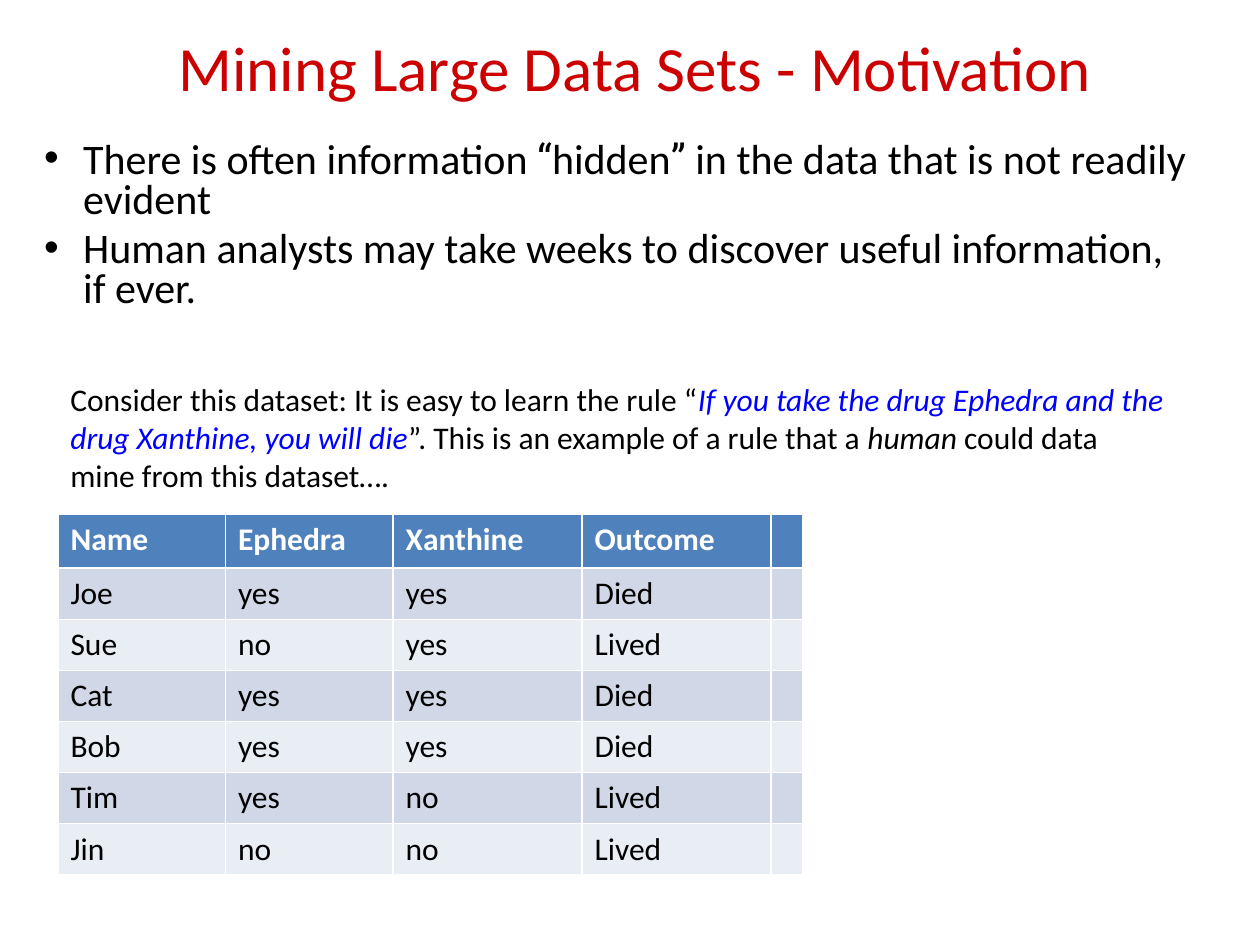
import pptx
import pptx.dml.color
import pptx.enum.text
import pptx.oxml.ns
import pptx.util
import lxml.etree
from pptx.util import Inches

COLORS = {
    "title": "CC0000", "text": "000000", "rule": "0000FF",
    "header_text": "FFFFFF", "header": "4F81BD",
    "odd_row": "D0D8E8", "even_row": "E9EDF4",
}


class MotivationSlide:
    font = "Calibri"
    quote_font = "Roboto"

    def __init__(self, presentation):
        self.slide = presentation.slides.add_slide(presentation.slide_layouts[1])

    def place(self, shape, left, top, width, height):
        shape.left, shape.top = Inches(left), Inches(top)
        shape.width, shape.height = Inches(width), Inches(height)

    def format(self, run, size, color="text", font=None, bold=False, italic=False):
        run.font.name = font or self.font
        run.font.size = pptx.util.Pt(size)
        run.font.bold = bold
        run.font.italic = italic
        run.font.color.rgb = pptx.dml.color.RGBColor.from_string(COLORS[color])

    def add_run(self, paragraph, text, size, **style):
        run = paragraph.add_run()
        run.text = text
        self.format(run, size, **style)

    def title(self, text, *box):
        heading = self.slide.shapes.title
        self.place(heading, *box)
        frame = heading.text_frame
        frame.text = text
        frame.margin_left = frame.margin_right = 0
        frame.vertical_anchor = pptx.enum.text.MSO_ANCHOR.MIDDLE
        frame.auto_size = pptx.enum.text.MSO_AUTO_SIZE.NONE
        frame.paragraphs[0].alignment = pptx.enum.text.PP_ALIGN.CENTER
        self.format(frame.paragraphs[0].runs[0], 36, "title")

    def bullets(self, points, *box):
        body = self.slide.placeholders[1]
        self.place(body, *box)
        frame = body.text_frame
        frame.auto_size = pptx.enum.text.MSO_AUTO_SIZE.NONE
        for index, parts in enumerate(points):
            paragraph = frame.add_paragraph() if index else frame.paragraphs[0]
            properties = paragraph._p.get_or_add_pPr()
            properties.set("marL", str(Inches(0.31)))
            properties.set("indent", str(Inches(-0.31)))
            bullet = lxml.etree.SubElement(properties, pptx.oxml.ns.qn("a:buChar"))
            bullet.set("char", "•")
            paragraph.line_spacing = 0.8
            paragraph.space_before = pptx.util.Pt(4.8 if index else 0)
            for part in parts:
                font = self.quote_font if part in "“”" else self.font
                self.add_run(paragraph, part, 24, font=font)

    def table(self, rows, column_widths, row_heights, left, top):
        frame = self.slide.shapes.add_table(
            len(rows), len(column_widths), Inches(left), Inches(top),
            Inches(sum(column_widths)), Inches(sum(row_heights)))
        grid = frame.table
        for column, width in zip(grid.columns, column_widths):
            column.width = Inches(width)
        for index, (row, height, values) in enumerate(zip(grid.rows, row_heights, rows)):
            row.height = Inches(height)
            header = index == 0
            fill = "header" if header else "odd_row" if index % 2 else "even_row"
            for cell, value in zip(row.cells, values):
                cell.fill.solid()
                cell.fill.fore_color.rgb = pptx.dml.color.RGBColor.from_string(COLORS[fill])
                cell.text = value
                for run in cell.text_frame.paragraphs[0].runs:
                    self.format(run, 18, "header_text" if header else "text", bold=header)

    def note(self, parts, *box):
        frame = self.slide.shapes.add_textbox(*map(Inches, box)).text_frame
        frame.word_wrap = True
        frame.auto_size = pptx.enum.text.MSO_AUTO_SIZE.SHAPE_TO_FIT_TEXT
        for text, style in parts:
            self.add_run(frame.paragraphs[0], text, 18, **style)


def main():
    presentation = pptx.Presentation()
    presentation.slide_width, presentation.slide_height = Inches(10), Inches(7.5)
    motivation = MotivationSlide(presentation)
    motivation.title("Mining Large Data Sets - Motivation", 0.25, 0.25, 9.58, 0.56)
    motivation.bullets([
        ["There is often information ", "“", "hidden", "”",
         " in the data that is not readily evident"],
        ["Human analysts may take weeks to discover useful information, if ever."],
    ], 0.25, 1.08, 9.33, 1.58)
    patients = [
        ("Name", "Ephedra", "Xanthine", "Outcome", ""),
        ("Joe", "yes", "yes", "Died", ""),
        ("Sue", "no", "yes", "Lived", ""),
        ("Cat", "yes", "yes", "Died", ""),
        ("Bob", "yes", "yes", "Died", ""),
        ("Tim", "yes", "no", "Lived", ""),
        ("Jin", "no", "no", "Lived", ""),
    ]
    motivation.table(patients, [1.33, 1.33, 1.5, 1.5, 0.25], [0.43] + [0.4] * 6, 0.46, 4.08)
    motivation.note([
        ("Consider this dataset: It is easy to learn the rule “", {}),
        ("If you take the drug Ephedra and the drug Xanthine, you will die",
         {"color": "rule", "italic": True}),
        ("”. This is an example of a rule that a ", {}),
        ("human", {"italic": True}),
        (" could data mine from this dataset….", {}),
    ], 0.46, 2.97, 8.92, 1.01)
    presentation.save("out.pptx")


if __name__ == "__main__":
    main()
